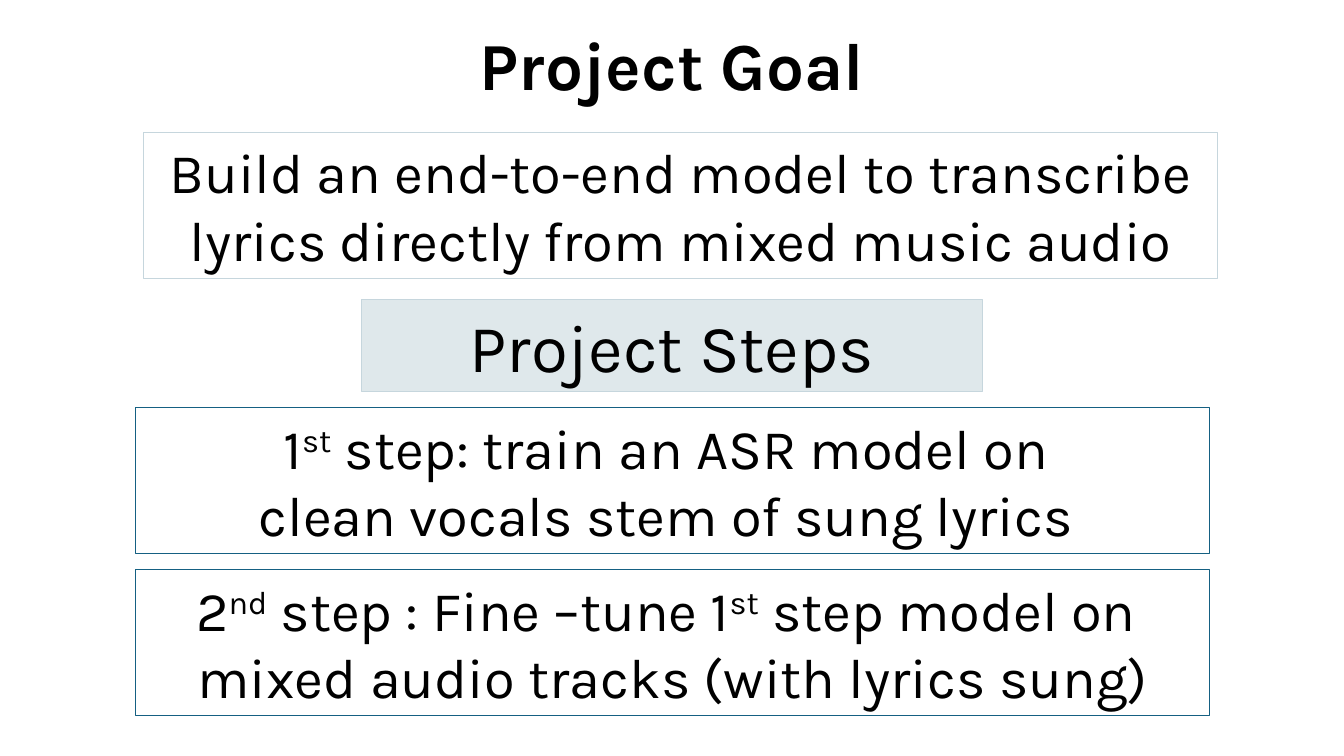
"""Build the Project Goal slide: a title, a goal box and two project steps."""
from dataclasses import dataclass

from lxml.etree import SubElement
from pptx import Presentation
from pptx.dml.color import RGBColor
from pptx.enum.shapes import MSO_SHAPE
from pptx.enum.text import MSO_ANCHOR, MSO_AUTO_SIZE, PP_ALIGN
from pptx.oxml.ns import qn
from pptx.shapes.autoshape import Shape
from pptx.slide import Slide
from pptx.util import Inches, Pt

FONT = "Karla"
BLACK, WHITE, MIST, TEAL = "000000", "FFFFFF", "C6D6DD", "156082"
HEADING_LEFT, HEADING_WIDTH, HEADING_HEIGHT = 3.59, 6.15, 0.91
STEP_LEFT, BOX_WIDTH, BOX_HEIGHT = 1.34, 10.66, 1.45
STEP_TOP, STEP_PITCH = 4.04, 1.61


@dataclass(frozen=True)
class Box:
    left: float
    top: float
    width: float
    height: float
    lines: tuple[str, ...]
    size: int = 40
    line: str = TEAL
    fill: str = ""
    opacity: int = 100


STEPS = (
    ("1^st^ step: train an ASR model on ", "clean vocals stem of sung lyrics "),
    ("2^nd^ step : Fine –tune 1^st^ step model on ", "mixed audio tracks (with lyrics sung)"),
)
TITLE = Box(HEADING_LEFT, 0.18, HEADING_WIDTH, HEADING_HEIGHT, ("Project Goal",), 48)
BOXES = (
    Box(1.42, 1.31, BOX_WIDTH, BOX_HEIGHT,
        ("Build an end-to-end model to transcribe lyrics directly from mixed music audio",),
        line=MIST, fill=WHITE, opacity=45),
    Box(HEADING_LEFT, 2.97, HEADING_WIDTH, HEADING_HEIGHT, ("Project Steps",), 48,
        line=MIST, fill=MIST, opacity=56),
    *(Box(STEP_LEFT, STEP_TOP + i * STEP_PITCH, BOX_WIDTH, BOX_HEIGHT, lines)
      for i, lines in enumerate(STEPS)),
)


def color(value: str) -> RGBColor:
    return RGBColor.from_string(value)


def write(s: Shape, box: Box, bold: bool = False) -> None:
    tf = s.text_frame
    tf.word_wrap = True
    tf.auto_size = MSO_AUTO_SIZE.SHAPE_TO_FIT_TEXT
    tf.vertical_anchor = MSO_ANCHOR.MIDDLE
    for i, text in enumerate(box.lines):
        p = tf.paragraphs[0] if i == 0 else tf.add_paragraph()
        p.alignment = PP_ALIGN.CENTER
        for j, part in enumerate(text.split("^")):
            r = p.add_run()
            r.text = part
            r.font.name = FONT
            r.font.size = Pt(box.size)
            r.font.bold = bold
            r.font.color.rgb = color(BLACK)
            if j % 2:
                r._r.get_or_add_rPr().set("baseline", "30000")


def add_title(slide: Slide, box: Box) -> None:
    s = slide.shapes.title
    s.left, s.top = Inches(box.left), Inches(box.top)
    s.width, s.height = Inches(box.width), Inches(box.height)
    write(s, box, bold=True)


def add_box(slide: Slide, box: Box) -> None:
    s = slide.shapes.add_shape(MSO_SHAPE.RECTANGLE, Inches(box.left), Inches(box.top),
                               Inches(box.width), Inches(box.height))
    s.shadow.inherit = False
    s.line.color.rgb = color(box.line)
    s.line.width = Pt(0.75)
    if box.fill:
        s.fill.solid()
        s.fill.fore_color.rgb = color(box.fill)
        srgb = s._element.spPr.find(qn("a:solidFill")).find(qn("a:srgbClr"))
        SubElement(srgb, qn("a:alpha")).set("val", str(box.opacity * 1000))
    else:
        s.fill.background()
    write(s, box)


def main() -> None:
    prs = Presentation()
    prs.slide_width, prs.slide_height = Inches(13.33), Inches(7.5)
    slide = prs.slides.add_slide(prs.slide_layouts[5])
    add_title(slide, TITLE)
    for box in BOXES:
        add_box(slide, box)
    prs.save("out.pptx")


if __name__ == "__main__":
    main()
